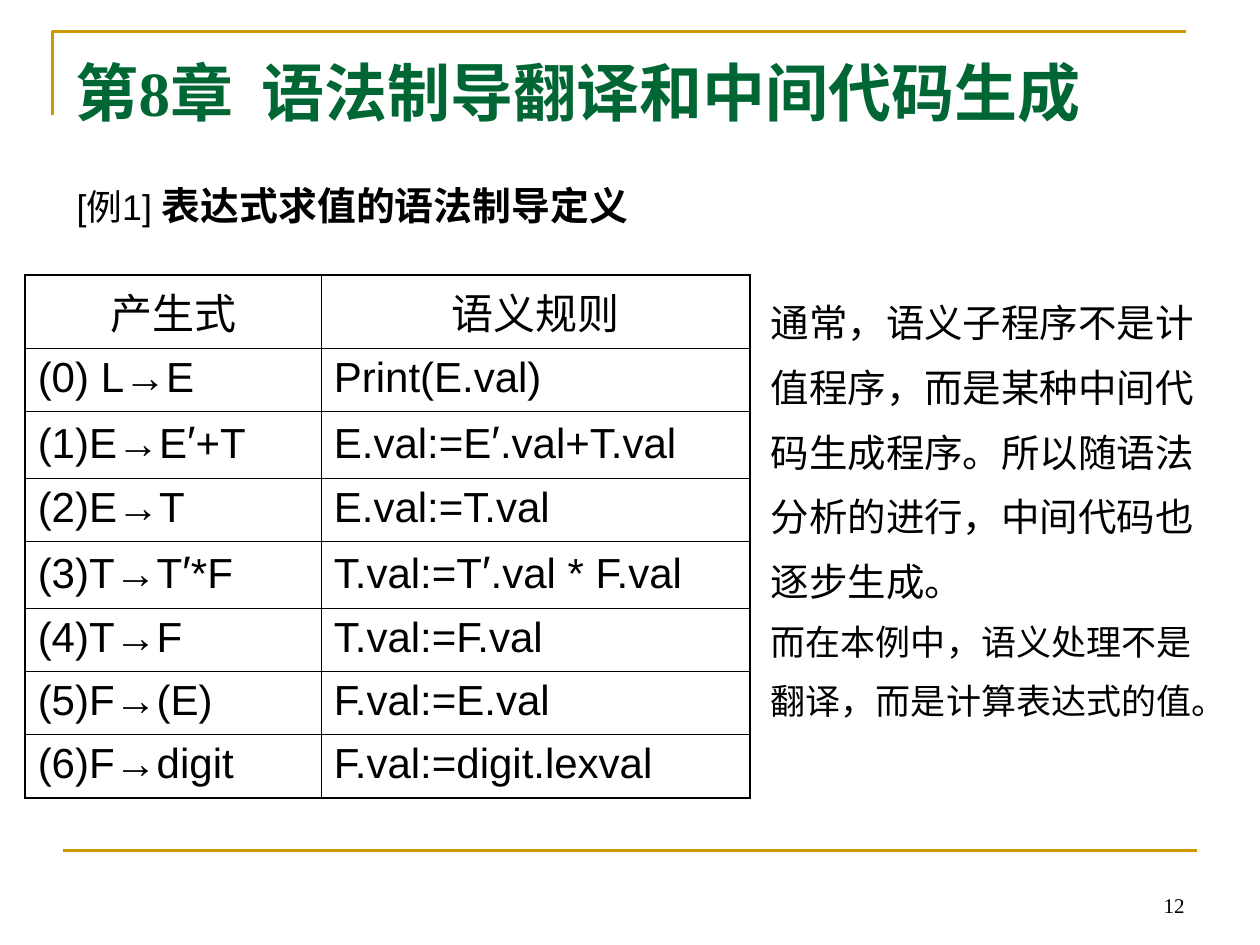
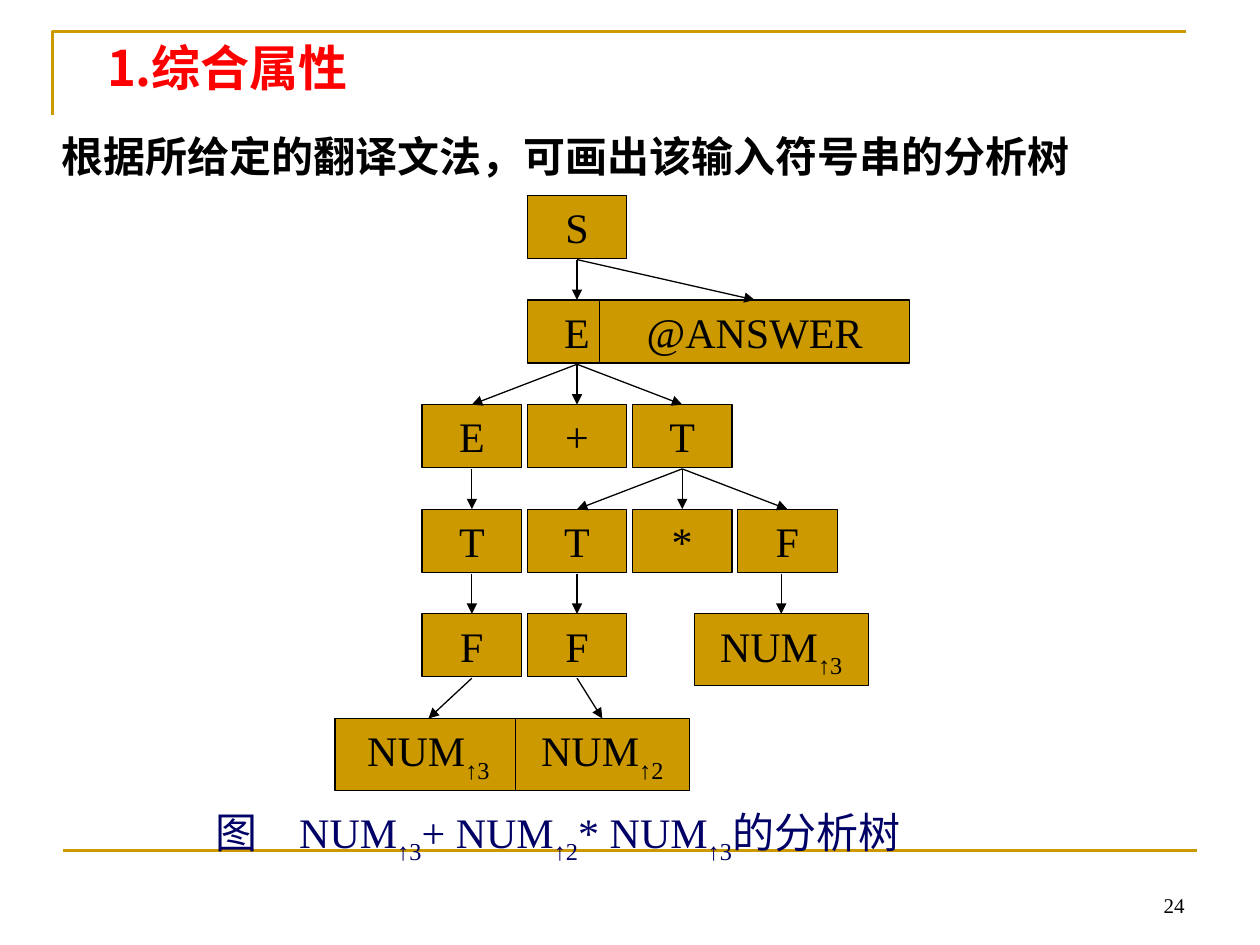
from lxml import etree
from pptx import Presentation
from pptx.dml.color import RGBColor
from pptx.enum import shapes, text
from pptx.oxml import ns
from pptx.util import Pt

GOLD, BLACK, GREEN, RED, NAVY = "CC9900", "000000", "006633", "FF0000", "000066"
SERIF, SANS, CJK = "Times New Roman", "Arial", "Noto Sans CJK SC"
SUB = {"sub": True}
BIG = {"size": 26}
LEFT, CENTER, RIGHT = text.PP_ALIGN.LEFT, text.PP_ALIGN.CENTER, text.PP_ALIGN.RIGHT

RULES = [
    ("产生式", "语义规则"),
    ("(0) L→E", "Print(E.val)"),
    ("(1)E→E′+T", "E.val:=E′.val+T.val"),
    ("(2)E→T", "E.val:=T.val"),
    ("(3)T→T′*F", "T.val:=T′.val * F.val"),
    ("(4)T→F", "T.val:=F.val"),
    ("(5)F→(E)", "F.val:=E.val"),
    ("(6)F→digit", "F.val:=digit.lexval"),
]


def color(value):
    """Turn a hex string into a colour."""
    return RGBColor.from_string(value)


def write_para(para, spans, size, font=SERIF, ink=BLACK, bold=False, align=LEFT):
    """Fill a paragraph with (words, options) spans."""
    para.alignment = align
    for words, options in spans:
        span = para.add_run()
        span.text = words
        span.font.size = Pt(options.get("size", size))
        span.font.bold = options.get("bold", bold)
        span.font.name = font
        span.font.color.rgb = color(ink)
        props = span.font._element
        if options.get("sub"):
            props.set("baseline", "-30000")
        if any("一" <= letter <= "龥" for letter in words):
            props.set("lang", "zh-CN")
            props.find(ns.qn("a:latin")).addnext(
                etree.Element(ns.qn("a:ea"), typeface=CJK))


def prepare_frame(shape, anchor=text.MSO_ANCHOR.TOP, side=7.2):
    """Set wrapping, insets and anchor, and return the text frame."""
    frame = shape.text_frame
    frame.word_wrap = True
    frame.auto_size = text.MSO_AUTO_SIZE.NONE
    frame.vertical_anchor = anchor
    frame.margin_left = frame.margin_right = Pt(side)
    frame.margin_top = frame.margin_bottom = Pt(3.6)
    return frame


def add_text(page, area, spans, size, anchor=text.MSO_ANCHOR.TOP, **style):
    """Add a one-paragraph text box and return its frame."""
    frame = prepare_frame(page.shapes.add_textbox(*map(Pt, area)), anchor)
    write_para(frame.paragraphs[0], spans, size, **style)
    return frame


def add_line(page, start, end, ink, width, arrow=False):
    """Draw a straight line, with an arrowhead if asked."""
    line = page.shapes.add_connector(
        shapes.MSO_CONNECTOR.STRAIGHT, *map(Pt, (*start, *end)))
    line.line.color.rgb = color(ink)
    line.line.width = Pt(width)
    if arrow:
        etree.SubElement(line.line._get_or_add_ln(), ns.qn("a:tailEnd"), type="triangle")
    etree.SubElement(line._element.spPr, ns.qn("a:effectLst"))


def add_page(deck, number, title, title_area, **title_style):
    """Add a slide with the gold frame, page number and title."""
    page = deck.slides.add_slide(deck.slide_layouts[5])
    outline = page.shapes.build_freeform(Pt(30), Pt(66))
    outline.add_line_segments([(Pt(30), Pt(18)), (Pt(678), Pt(18))], close=False)
    corner = outline.convert_to_shape()
    corner.fill.background()
    corner.line.color.rgb = color(GOLD)
    corner.line.width = Pt(1.5)
    corner.shadow.inherit = False
    add_line(page, (36, 486), (684, 486), GOLD, 1.5)
    add_text(page, (516, 492, 168, 36), [(number, {})], 12,
             text.MSO_ANCHOR.BOTTOM, align=RIGHT)
    heading = page.shapes.title
    heading.left, heading.top, heading.width, heading.height = map(Pt, title_area)
    frame = prepare_frame(heading, text.MSO_ANCHOR.MIDDLE)
    write_para(frame.paragraphs[0], [(title, {})], bold=True, **title_style)
    return page


def add_borders(cell, widths):
    """Give a cell its left, right, top and bottom borders."""
    props = cell._tc.get_or_add_tcPr()
    for place, (side, width) in enumerate(zip("LRTB", widths)):
        border = etree.Element(ns.qn(f"a:ln{side}"), w=str(Pt(width)))
        fill = etree.SubElement(border, ns.qn("a:solidFill"))
        etree.SubElement(fill, ns.qn("a:srgbClr"), val=BLACK)
        props.insert(place, border)


def split_prime(words):
    """Split text into spans so that the prime mark is larger."""
    before, prime, after = words.partition("′")
    return [(part, BIG if part == "′" else {}) for part in (before, prime, after) if part]


def add_rule_table(page, left, top):
    """Add the table of productions and semantic rules."""
    last = len(RULES) - 1
    widths = (169.2, 244.8)
    heights = [42 if row == 0 else 38.4 if "′" in RULES[row][0] else 36
               for row in range(len(RULES))]
    table = page.shapes.add_table(
        len(RULES), 2, *map(Pt, (left, top, sum(widths), sum(heights)))).table
    table.first_row = table.horz_banding = False
    for column, width in zip(table.columns, widths):
        column.width = Pt(width)
    for row, pair in enumerate(RULES):
        table.rows[row].height = Pt(heights[row])
        for column, words in enumerate(pair):
            cell = table.cell(row, column)
            cell.fill.background()
            outer = (column == 0, column == 1, row == 0, row == last)
            add_borders(cell, [1.08 if edge else 0.45 for edge in outer])
            write_para(cell.text_frame.paragraphs[0], split_prime(words), 24, SANS,
                       align=CENTER if row == 0 else LEFT)


def build_definition(deck):
    """Build the slide on the syntax-directed definition."""
    page = add_page(deck, "12", "第8章  语法制导翻译和中间代码生成",
                    (36, 21.6, 648, 61.2), size=36, ink=GREEN)
    add_text(page, (36.7, 100.1, 362.9, 39.6),
             [("[例1] ", {}), ("表达式求值的语法制导定义", {"size": 22.2, "bold": True})],
             20.4, font=SANS)
    add_rule_table(page, 14.4, 157)
    frame = add_text(page, (433.4, 157, 269.3, 293), [(
        "通常，语义子程序不是计值程序，而是某种中间代码生成程序。"
        "所以随语法分析的进行，中间代码也逐步生成。", {})], 22)
    write_para(frame.add_paragraph(),
               [("而在本例中，语义处理不是翻译，而是计算表达式的值。", {})], 20)
    for para in frame.paragraphs:
        para.line_spacing = 1.4


def add_node(page, area, spans):
    """Add one gold tree node and return its area."""
    node = page.shapes.add_shape(shapes.MSO_SHAPE.RECTANGLE, *map(Pt, area))
    node.shadow.inherit = False
    node.fill.solid()
    node.fill.fore_color.rgb = color(GOLD)
    node.line.color.rgb = color(BLACK)
    node.line.width = Pt(0.75)
    write_para(prepare_frame(node, side=0).paragraphs[0], spans, 24, align=CENTER)
    return area


def add_branch(page, parent, child):
    """Draw an arrow from a parent's bottom to a child's top."""
    start = parent[0] + parent[2] / 2
    end = child[0] + child[2] / 2
    if abs(start - end) < 5:
        start = end
    add_line(page, (start, parent[1] + parent[3] + 0.75), (end, child[1]),
             BLACK, 0.75, arrow=True)


def add_tree(page, left, top):
    """Draw the parse tree on a grid from its top left corner."""
    pitch_x, pitch_y = 60.1, 59.8
    cells = {
        "expr": ("E", 0, 2), "term": ("T", 0, 3), "factor": ("F", 0, 4),
        "start": ("S", 1, 0), "sum": ("E", 1, 1), "right": ("T", 2, 2),
        "plus": ("+", 1, 2), "last": ("F", 3, 3), "times": ("*", 2, 3),
        "inner": ("T", 1, 3), "middle": ("F", 1, 4),
    }
    leaves = {
        "answer": ([("@ANSWER", {})], 151.2, 1, 177.1, 36),
        "num_a": ([("NUM", {}), ("↑3", SUB)], 0, 5, 106.6, 41),
        "num_b": ([("NUM", {}), ("↑2", SUB)], 103, 5, 99.4, 41),
        "num_c": ([("NUM", {}), ("↑3", SUB)], 205.2, 4, 99.4, 41),
    }
    branches = {
        "start": ("sum", "answer"), "sum": ("expr", "plus", "right"),
        "right": ("inner", "times", "last"), "expr": ("term",),
        "term": ("factor",), "inner": ("middle",), "factor": ("num_a",),
        "middle": ("num_b",), "last": ("num_c",),
    }
    areas = {}
    for name, (words, column, row) in cells.items():
        area = (left + 49.7 + column * pitch_x, top + row * pitch_y, 56.9, 36)
        areas[name] = add_node(page, area, [(words, {})])
    for name, (spans, shift, row, width, height) in leaves.items():
        area = (left + shift, top + row * pitch_y, width, height)
        areas[name] = add_node(page, area, spans)
    for parent, children in branches.items():
        for child in children:
            add_branch(page, areas[parent], areas[child])


def build_parse_tree(deck):
    """Build the slide with the parse tree."""
    page = add_page(deck, "24", "1.综合属性", (54, 20.2, 612, 36),
                    size=28, font=CJK, ink=RED)
    add_tree(page, 191.5, 111.6)
    add_text(page, (115.9, 457.2, 481.7, 41),
             [("图　NUM", {}), ("↑3", SUB), ("+ NUM", {}), ("↑2", SUB),
              ("* NUM", {}), ("↑3", SUB), ("的分析树", {})], 24, ink=NAVY)
    add_text(page, (28.1, 71.3, 606.2, 36),
             [("根据所给定的翻译文法，可画出该输入符号串的分析树", {})], 24, bold=True)


def main():
    """Build and save the deck."""
    deck = Presentation()
    deck.slide_width, deck.slide_height = Pt(720), Pt(540)
    build_definition(deck)
    build_parse_tree(deck)
    deck.save("out.pptx")


if __name__ == "__main__":
    main()
